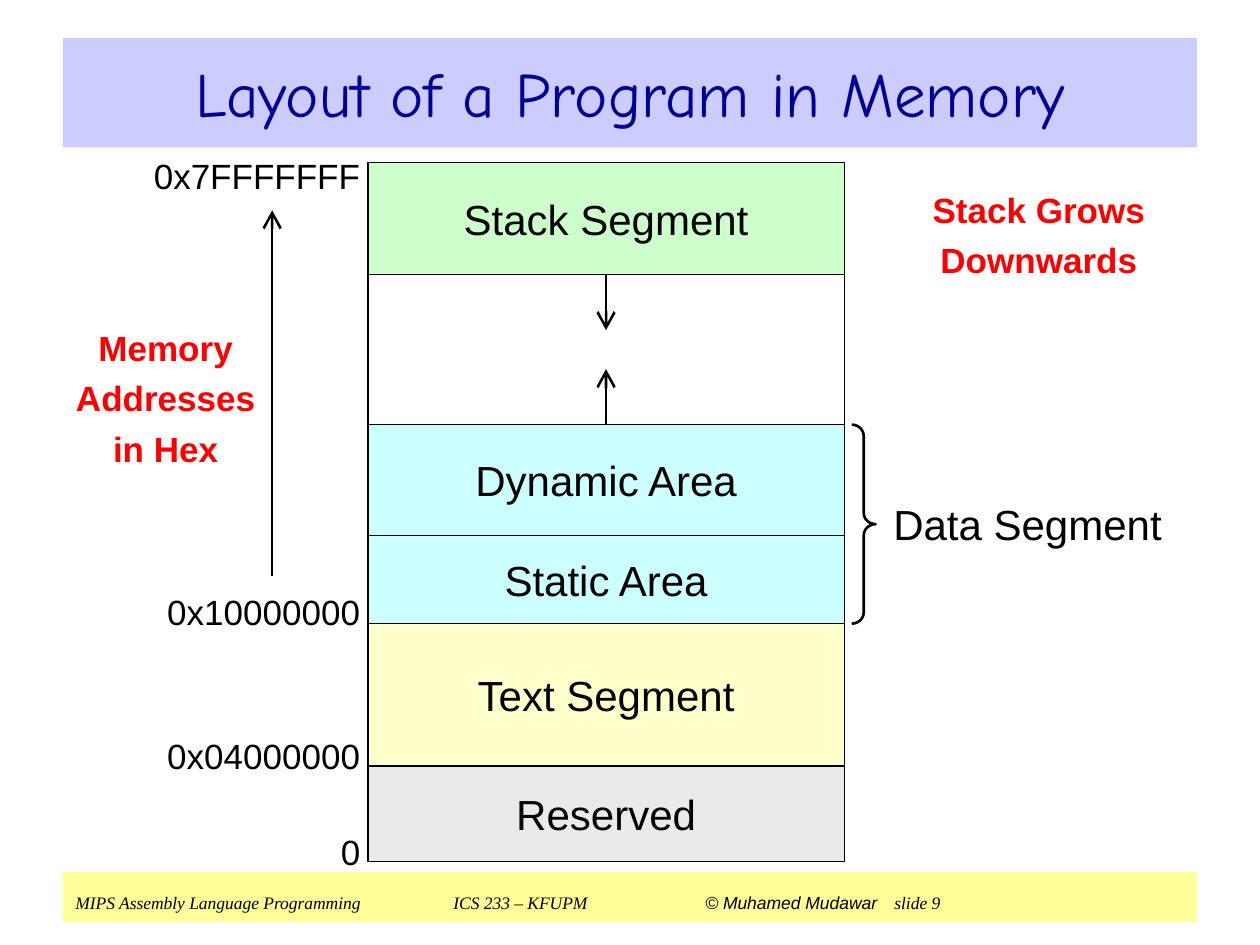
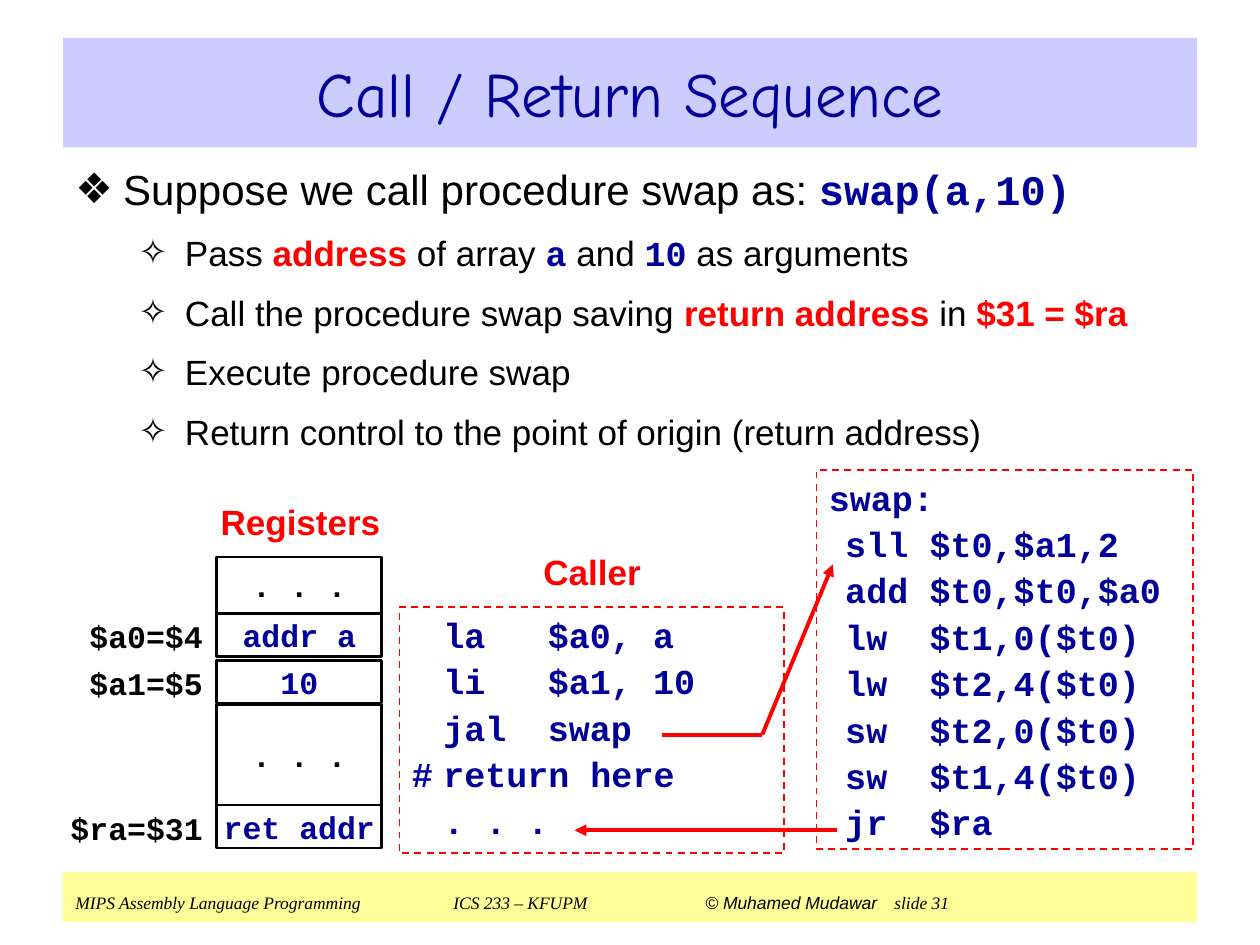
from dataclasses import dataclass
from typing import NamedTuple, Optional, Sequence

from lxml.etree import SubElement
from pptx import Presentation
from pptx.dml.color import RGBColor
from pptx.enum.dml import MSO_LINE_DASH_STYLE as Dash
from pptx.enum.shapes import MSO_CONNECTOR as Connector, MSO_SHAPE as Shape
from pptx.enum.text import MSO_ANCHOR as Anchor, MSO_AUTO_SIZE as AutoSize, PP_ALIGN as Align
from pptx.oxml.ns import qn
from pptx.util import Emu, Pt

PX = 9144  # 100 px to the inch
PAGE_WIDTH, PAGE_HEIGHT = 1000, 750
BAND_LEFT, BAND_WIDTH = 50, 900

BLACK, WHITE, RED, NAVY = "000000", "FFFFFF", "FF0000", "000099"
TITLE_FILL, FOOTER_FILL = "CCCCFF", "FFFF99"
GREEN, CYAN, CREAM, GREY = "CCFFCC", "CCFFFF", "FFFFCC", "EAEAEA"
SANS, SERIF, CODE, TITLE_FONT = "Arial", "Times New Roman", "Courier New", "Comic Neue"


class Area(NamedTuple):
    left: int
    top: int
    width: int
    height: int


class Span(NamedTuple):
    text: str
    size: int = 20
    color: str = BLACK
    font: str = SANS
    bold: bool = False
    italic: bool = False


class Inset(NamedTuple):
    x: int = 0
    y: int = 0


@dataclass(frozen=True)
class Para:
    spans: Sequence[Span]
    align: Align = Align.CENTER
    before: float = 0
    line_spacing: float = 1
    tabs: Sequence[int] = ()
    bullet: str = ""
    indent: int = 0
    hanging: int = 0


class Outline(NamedTuple):
    color: str = BLACK
    width: float = 0.75
    dash: Optional[Dash] = None


class Segment(NamedTuple):
    text: str
    top: int
    bottom: int
    fill: str = WHITE


class Register(NamedTuple):
    value: str
    top: int
    height: int
    color: str = NAVY
    name: str = ""


class Arrow(NamedTuple):
    start: tuple[int, int]
    end: tuple[int, int]
    head: str = ""
    head_size: str = "med"


PAD = Inset(10, 5)


def px(length: int) -> Emu:
    return Emu(length * PX)


def rgb(color: str) -> RGBColor:
    return RGBColor.from_string(color)


def write_para(para, content: Para) -> None:
    para.alignment = content.align
    para.space_before = Pt(content.before)
    para.line_spacing = content.line_spacing
    props = para._p.get_or_add_pPr()
    if content.bullet:
        props.set("marL", str(px(content.indent)))
        props.set("indent", str(px(-content.hanging)))
        SubElement(SubElement(props, qn("a:buClr")), qn("a:srgbClr"), val=BLACK)
        SubElement(props, qn("a:buFont"), typeface=SANS)
        SubElement(props, qn("a:buChar"), char=content.bullet)
    if content.tabs:
        stops = SubElement(props, qn("a:tabLst"))
        for stop in content.tabs:
            SubElement(stops, qn("a:tab"), pos=str(px(stop)), algn="l")
    for span in content.spans:
        run = para.add_run()
        run.text = span.text
        font = run.font
        font.size, font.name = Pt(span.size), span.font
        font.bold, font.italic = span.bold, span.italic
        font.color.rgb = rgb(span.color)


def write_text(box, paras: Sequence[Para], inset: Inset, anchor: Anchor) -> None:
    frame = box.text_frame
    frame.word_wrap = True
    frame.auto_size = AutoSize.NONE
    frame.vertical_anchor = anchor
    frame.margin_left = frame.margin_right = px(inset.x)
    frame.margin_top = frame.margin_bottom = px(inset.y)
    for index, content in enumerate(paras):
        write_para(frame.add_paragraph() if index else frame.paragraphs[0], content)


def add_text(page, area: Area, paras: Sequence[Para], inset: Inset = Inset(),
             anchor: Anchor = Anchor.MIDDLE) -> None:
    write_text(page.shapes.add_textbox(*map(px, area)), paras, inset, anchor)


def set_outline(line, outline: Outline) -> None:
    line.color.rgb = rgb(outline.color)
    line.width = Pt(outline.width)
    if outline.dash:
        line.dash_style = outline.dash


def add_box(page, area: Area, fill: str = "", outline: Optional[Outline] = None,
            paras: Sequence[Para] = (), inset: Inset = Inset(),
            anchor: Anchor = Anchor.MIDDLE, kind: Shape = Shape.RECTANGLE):
    box = page.shapes.add_shape(kind, *map(px, area))
    box.shadow.inherit = False
    if fill:
        box.fill.solid()
        box.fill.fore_color.rgb = rgb(fill)
    else:
        box.fill.background()
    if outline:
        set_outline(box.line, outline)
    else:
        box.line.fill.background()
    write_text(box, paras, inset, anchor)
    return box


def add_arrow(page, arrow: Arrow, outline: Outline) -> None:
    line = page.shapes.add_connector(Connector.STRAIGHT, *map(px, arrow.start + arrow.end))
    set_outline(line.line, outline)
    if arrow.head:
        SubElement(line.line._get_or_add_ln(), qn("a:tailEnd"),
                   type=arrow.head, w=arrow.head_size, len=arrow.head_size)
    SubElement(line._element.spPr, qn("a:effectLst"))


def red_label(*lines: str, spacing: float = 1) -> list[Para]:
    return [Para([key(line)], line_spacing=spacing) for line in lines]


def key(text: str) -> Span:
    """Return a span that stresses a key term."""
    return Span(text, color=RED, bold=True)


def code(text: str, size: int = 20, color: str = NAVY) -> Span:
    return Span(text, size, color, CODE, True)


def add_page(deck, title: str, number: int):
    """Add a slide with its title band and footer band."""
    page = deck.slides.add_slide(deck.slide_layouts[5])
    heading = page.shapes.title
    heading.left, heading.top, heading.width, heading.height = map(
        px, Area(BAND_LEFT, 30, BAND_WIDTH, 87))
    heading.fill.solid()
    heading.fill.fore_color.rgb = rgb(TITLE_FILL)
    write_text(heading, [Para([Span(title, 36, NAVY, TITLE_FONT)])], PAD, Anchor.MIDDLE)

    footer = Para([
        Span("MIPS Assembly Language Programming\tICS 233 – KFUPM\t", 10, font=SERIF, italic=True),
        Span("© Muhamed Mudawar", 10, italic=True),
        Span("\t", 18),
        Span(f"slide {number}", 10, font=SERIF, italic=True),
    ], Align.LEFT, tabs=(300, 500, 650))
    add_box(page, Area(BAND_LEFT, 692, BAND_WIDTH, 40), FOOTER_FILL,
            paras=[footer], inset=PAD, anchor=Anchor.TOP)
    return page


def build_memory_page(deck) -> None:
    page = add_page(deck, "Layout of a Program in Memory", 9)
    left, width = 292, 378
    center = left + width // 2
    segments = [
        Segment("Stack Segment", 129, 218, GREEN),
        Segment("", 218, 337),
        Segment("Dynamic Area", 337, 425, CYAN),
        Segment("Static Area", 425, 495, CYAN),
        Segment("Text Segment", 495, 608, CREAM),
        Segment("Reserved", 608, 684, GREY),
    ]
    for segment in segments:
        paras = [Para([Span(segment.text, 24)])] if segment.text else []
        add_box(page, Area(left, segment.top, width, segment.bottom - segment.top),
                segment.fill, Outline(), paras)

    addresses = {"0x7FFFFFFF": 123, "0x10000000": 469, "0x04000000": 583, "0": 659}
    for address, top in addresses.items():
        add_text(page, Area(116, top, 170, 31), [Para([Span(address)], Align.RIGHT)],
                 anchor=Anchor.TOP)

    stroke = Outline(width=1.5)
    brace = add_box(page, Area(676, 337, 19, 158), outline=stroke, kind=Shape.RIGHT_BRACE)
    brace.adjustments[0] = 0.47
    add_text(page, Area(702, 356, 227, 120), [Para([Span("Data Segment", 24)])])

    for arrow in (Arrow((center, 337), (center, 293), "arrow", "lg"),
                  Arrow((center, 218), (center, 262), "arrow", "lg"),
                  Arrow((216, 457), (216, 167), "arrow", "lg")):
        add_arrow(page, arrow, stroke)

    add_text(page, Area(53, 243, 157, 139),
             red_label("Memory", "Addresses", "in Hex", spacing=1.2))
    add_text(page, Area(733, 136, 183, 94),
             red_label("Stack Grows", "Downwards", spacing=1.2))


def add_listing(page, area: Area, lines: Sequence[str], tabs: Sequence[int]) -> None:
    paras = [Para([code(line)], Align.LEFT, before=2.5, tabs=tabs) for line in lines]
    add_box(page, area, WHITE, Outline(RED, 1, Dash.DASH), paras, PAD, Anchor.TOP)


def build_call_page(deck) -> None:
    page = add_page(deck, "Call / Return Sequence", 31)
    steps = [
        [Span("Pass "), key("address"), Span(" of array "), code("a"), Span(" and "),
         code("10"), Span(" as arguments")],
        [Span("Call the procedure swap saving "), key("return address"), Span(" in "),
         key("$31 = $ra")],
        [Span("Execute procedure swap")],
        [Span("Return control to the point of origin (return address)")],
    ]
    bullets = [Para([Span("Suppose we call procedure swap as: ", 24), code("swap(a,10)", 24)],
                    Align.LEFT, before=12, bullet="❖", indent=38, hanging=38)]
    bullets += [Para(step, Align.LEFT, before=10, bullet="✧", indent=87, hanging=37)
                for step in steps]
    add_text(page, Area(BAND_LEFT, 125, BAND_WIDTH, 245), bullets, PAD, Anchor.TOP)

    add_listing(page, Area(648, 373, 299, 301), [
        "swap:", "\tsll\t$t0,$a1,2", "\tadd\t$t0,$t0,$a0", "\tlw\t$t1,0($t0)",
        "\tlw\t$t2,4($t0)", "\tsw\t$t2,0($t0)", "\tsw\t$t1,4($t0)", "\tjr\t$ra",
    ], tabs=(13, 80))
    add_listing(page, Area(317, 482, 305, 195), [
        "\tla\t$a0, a", "\tli\t$a1, 10", "\tjal\tswap", "#\treturn here", "\t. . .",
    ], tabs=(25, 108))
    add_text(page, Area(415, 432, 110, 44), red_label("Caller"), PAD, Anchor.TOP)
    add_text(page, Area(166, 392, 145, 44), red_label("Registers"), Inset(0, 5), Anchor.TOP)

    registers = [
        Register(". . .", 442, 45, BLACK),
        Register("addr a", 487, 34, name="$a0=$4"),
        Register("10", 524, 34, name="$a1=$5"),
        Register(". . .", 559, 80, BLACK),
        Register("ret addr", 639, 34, name="$ra=$31"),
    ]
    for register in registers:
        add_box(page, Area(172, register.top, 131, register.height), WHITE, Outline(width=1.5),
                [Para([code(register.value, 18, register.color)])], Inset(0, 2))
        if register.name:
            add_text(page, Area(46, register.top + 1, 120, register.height),
                     [Para([code(register.name, 18, BLACK)], Align.RIGHT)], Inset(5, 2))

    for arrow in (Arrow((525, 583), (605, 583)),
                  Arrow((605, 583), (661, 448), "triangle"),
                  Arrow((664, 659), (456, 659), "triangle")):
        add_arrow(page, arrow, Outline(RED, 2.25))


def main() -> None:
    deck = Presentation()
    deck.slide_width, deck.slide_height = px(PAGE_WIDTH), px(PAGE_HEIGHT)
    build_memory_page(deck)
    build_call_page(deck)
    deck.save("out.pptx")


if __name__ == "__main__":
    main()
